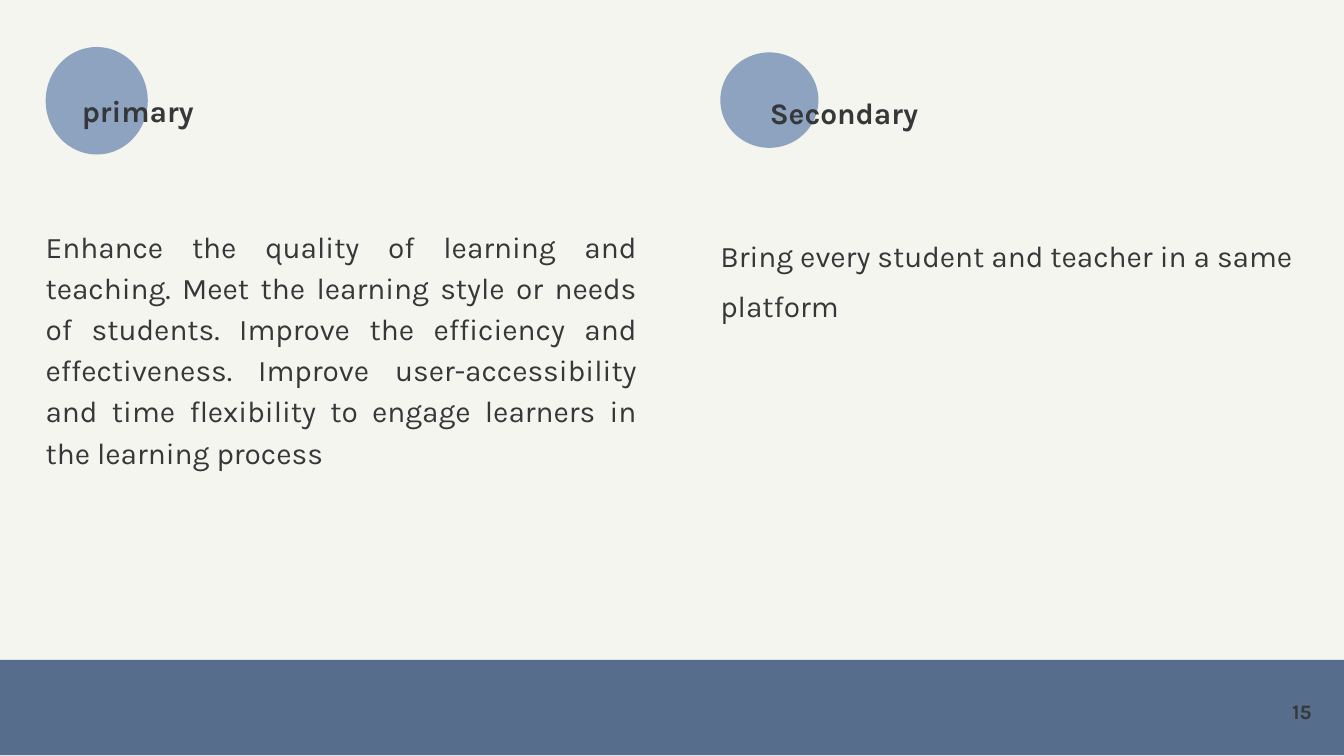
from dataclasses import dataclass

from pptx import Presentation
from pptx.dml.color import RGBColor
from pptx.enum.shapes import MSO_SHAPE as Preset
from pptx.enum.text import MSO_ANCHOR as Anchor, PP_ALIGN as Align
from pptx.slide import Slide
from pptx.util import Inches, Pt


@dataclass(frozen=True)
class Theme:
    background: str = "F5F5EF"
    band: str = "566D8C"
    circle: str = "8EA3BF"
    ink: str = "363739"
    font: str = "Karla"
    text_size: int = 16
    number_size: int = 11


@dataclass(frozen=True)
class Box:
    """Position and size in inches."""
    left: float
    top: float
    width: float
    height: float

    def lengths(self) -> tuple[Inches, ...]:
        return tuple(map(Inches, (self.left, self.top, self.width, self.height)))


@dataclass(frozen=True)
class TextStyle:
    align: Align = Align.LEFT
    line_spacing: float = 1.0
    space_after: int = 0
    bold: bool = False
    size: int = Theme.text_size
    anchor: Anchor = Anchor.TOP


@dataclass(frozen=True)
class Column:
    """A heading over a circle, with its body text below."""
    circle: Box
    heading: str
    heading_box: Box
    body: str
    body_box: Box
    body_style: TextStyle


THEME = Theme()
HEADING = TextStyle(Align.CENTER, line_spacing=1.25, bold=True)
NUMBER = TextStyle(Align.RIGHT, bold=True, size=THEME.number_size, anchor=Anchor.MIDDLE)

COLUMNS = (
    Column(
        Box(0.34, 0.35, 0.76, 0.8),
        "primary", Box(0.54, 0.62, 0.97, 0.27),
        "Enhance the quality of learning and teaching. Meet the learning style "
        "or needs of students. Improve the efficiency and effectiveness. Improve "
        "user-accessibility and time flexibility to engage learners in the "
        "learning process",
        Box(0.34, 1.66, 4.4, 1.72),
        TextStyle(Align.JUSTIFY, line_spacing=1.15, space_after=8),
    ),
    Column(
        Box(5.36, 0.39, 0.73, 0.71),
        "Secondary", Box(5.55, 0.64, 1.46, 0.27),
        "Bring every student and teacher in a same platform",
        Box(5.36, 1.66, 4.4, 3.07),
        TextStyle(line_spacing=1.4),
    ),
)


def add_filled_shape(slide: Slide, preset: Preset, box: Box, color: str) -> None:
    shape = slide.shapes.add_shape(preset, *box.lengths())
    shape.shadow.inherit = False
    shape.fill.solid()
    shape.fill.fore_color.rgb = RGBColor.from_string(color)
    shape.line.fill.background()


def add_text(slide: Slide, text: str, box: Box, style: TextStyle) -> None:
    frame = slide.shapes.add_textbox(*box.lengths()).text_frame
    frame.word_wrap = True
    frame.vertical_anchor = style.anchor
    frame.margin_left = frame.margin_top = frame.margin_right = frame.margin_bottom = 0
    paragraph = frame.paragraphs[0]
    paragraph.alignment = style.align
    paragraph.line_spacing = style.line_spacing
    paragraph.space_after = Pt(style.space_after)
    run = paragraph.add_run()
    run.text = text
    run.font.name = THEME.font
    run.font.size = Pt(style.size)
    run.font.bold = style.bold
    run.font.color.rgb = RGBColor.from_string(THEME.ink)


def add_column(slide: Slide, column: Column) -> None:
    add_filled_shape(slide, Preset.OVAL, column.circle, THEME.circle)
    add_text(slide, column.heading, column.heading_box, HEADING)
    add_text(slide, column.body, column.body_box, column.body_style)


def main() -> None:
    presentation = Presentation()
    presentation.slide_width = Inches(10)
    presentation.slide_height = Inches(10) * 9 // 16
    slide = presentation.slides.add_slide(presentation.slide_layouts[6])
    slide.background.fill.solid()
    slide.background.fill.fore_color.rgb = RGBColor.from_string(THEME.background)

    add_filled_shape(slide, Preset.RECTANGLE, Box(0, 4.91, 10, 0.71), THEME.band)
    for column in COLUMNS:
        add_column(slide, column)
    add_text(slide, "15", Box(9.16, 5.19, 0.6, 0.2), NUMBER)
    presentation.save("out.pptx")


if __name__ == "__main__":
    main()
